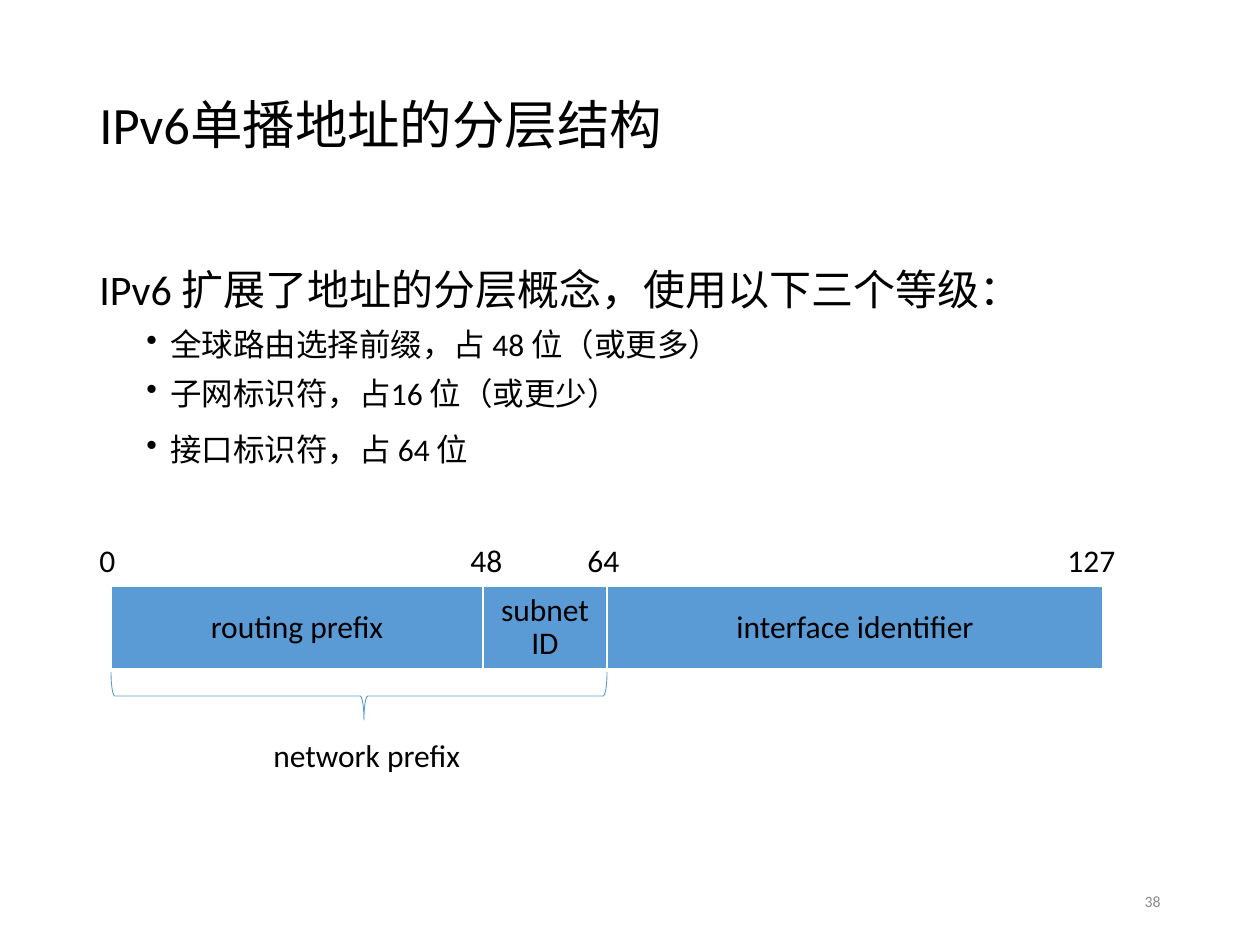
from itertools import accumulate

from lxml import etree
from pptx import Presentation, util as u
from pptx.dml.color import RGBColor
from pptx.enum import shapes, text
from pptx.oxml.ns import qn

# Content
TITLE = "IPv6单播地址的分层结构"
LEAD = "IPv6 扩展了地址的分层概念，使用以下三个等级："
LEVELS = [
    ("全球路由选择前缀，占 48 位（或更多）", 0),
    ("子网标识符，占16 位（或更少）", 0),
    ("接口标识符，占 64 位", 3.8),
]
FIELDS = [("routing prefix", 48), ("subnet ID", 16), ("interface identifier", 64)]
BIT_MARKS = ["0", "48", "64", "127"]
MARK_TABS = [371, 488, 968]  # px from the text edge
BRACE_LABEL = "network prefix"
PAGE = "38"

FONT, BLACK, GREY, BLUE, WHITE = "Calibri", "000000", "8C8C8C", "5B9BD5", "FFFFFF"
LEFT, BODY_W = 87, 1086
BAR_X, BAR_Y, BAR_W, BAR_H = 111, 586, 992, 84


def px(n):
    return u.Emu(round(n * 914400 / 126))


def rgb(color):
    return RGBColor.from_string(color)


def put(tf, value, size=18, color=BLACK, align=text.PP_ALIGN.LEFT, spacing=None,
        before=0, bullet=None, indent=0, tabs=(), new=False):
    p = tf.add_paragraph() if new else tf.paragraphs[0]
    pPr = p._p.get_or_add_pPr()
    if bullet:
        p.level = 1
        pPr.set("marL", str(px(indent)))
        pPr.set("indent", str(-px(24)))
        etree.SubElement(pPr, qn("a:buChar"), char=bullet)
    if tabs:
        tab_list = etree.SubElement(pPr, qn("a:tabLst"))
        for t in tabs:
            etree.SubElement(tab_list, qn("a:tab"), pos=str(px(t)), algn="l")
    p.alignment = align
    if spacing:
        p.line_spacing = spacing
    if before:
        p.space_before = u.Pt(before)
    r = p.add_run()
    r.text = value
    r.font.name, r.font.size = FONT, u.Pt(size)
    r.font.color.rgb = rgb(color)


def box(s, x, y, w, h, anchor=text.MSO_ANCHOR.TOP, wrap=True):
    tf = s.shapes.add_textbox(px(x), px(y), px(w), px(h)).text_frame
    tf.word_wrap, tf.vertical_anchor = wrap, anchor
    return tf


def border(cell):
    tcPr = cell._tc.get_or_add_tcPr()
    for i, (side, width) in enumerate([("L", 1), ("R", 1), ("T", 1), ("B", 3)]):
        ln = etree.Element(qn("a:ln" + side), w=str(u.Pt(width)))
        fill = etree.SubElement(ln, qn("a:solidFill"))
        etree.SubElement(fill, qn("a:srgbClr"), val=WHITE)
        tcPr.insert(i, ln)


prs = Presentation()
prs.slide_width, prs.slide_height = px(1260), px(945)
s = prs.slides.add_slide(prs.slide_layouts[6])
MIDDLE = text.MSO_ANCHOR.MIDDLE

# Title and body
put(box(s, LEFT, 50, BODY_W, 155, MIDDLE), TITLE, size=30, spacing=0.9)
body = box(s, LEFT, 242, BODY_W, 255)
put(body, LEAD, size=24, spacing=1.3)
for level, before in LEVELS:
    put(body, level, spacing=1.3, before=before, bullet="•", indent=71, new=True)

# Address bar, each field as wide as its share of the bits
total = sum(bits for _, bits in FIELDS)
widths = [BAR_W * bits / total for _, bits in FIELDS]
table = s.shapes.add_table(1, len(FIELDS), px(BAR_X), px(BAR_Y), px(BAR_W), px(BAR_H)).table
table.first_row = table.horz_banding = False
table.rows[0].height = px(BAR_H)
for i, (name, _) in enumerate(FIELDS):
    table.columns[i].width = px(widths[i])
    cell = table.cell(0, i)
    cell.fill.solid()
    cell.fill.fore_color.rgb = rgb(BLUE)
    cell.vertical_anchor = MIDDLE
    border(cell)
    put(cell.text_frame, name, align=text.PP_ALIGN.CENTER,
        spacing=0.85 if name == "subnet ID" else None)

# Bit positions above the bar
put(box(s, LEFT, 535, 1080, 50), "\t".join(BIT_MARKS), tabs=MARK_TABS)

# Brace under the first two fields, turned to point down
span, depth, top = list(accumulate(widths))[1], 48, 672
brace = s.shapes.add_shape(
    shapes.MSO_SHAPE.LEFT_BRACE, px(BAR_X + (span - depth) / 2),
    px(top + (depth - span) / 2), px(depth), px(span))
brace.rotation = 270
brace.adjustments[0], brace.adjustments[1] = 0.08, 0.51
brace.shadow.inherit = False
brace.fill.background()
brace.line.color.rgb = rgb(BLUE)
brace.line.width = u.Pt(0.5)
put(box(s, 261, 730, 214, 50, wrap=False), BRACE_LABEL)

# Page number
put(box(s, 890, 876, 283, 50, MIDDLE), PAGE, size=9, color=GREY, align=text.PP_ALIGN.RIGHT)

prs.save("out.pptx")
